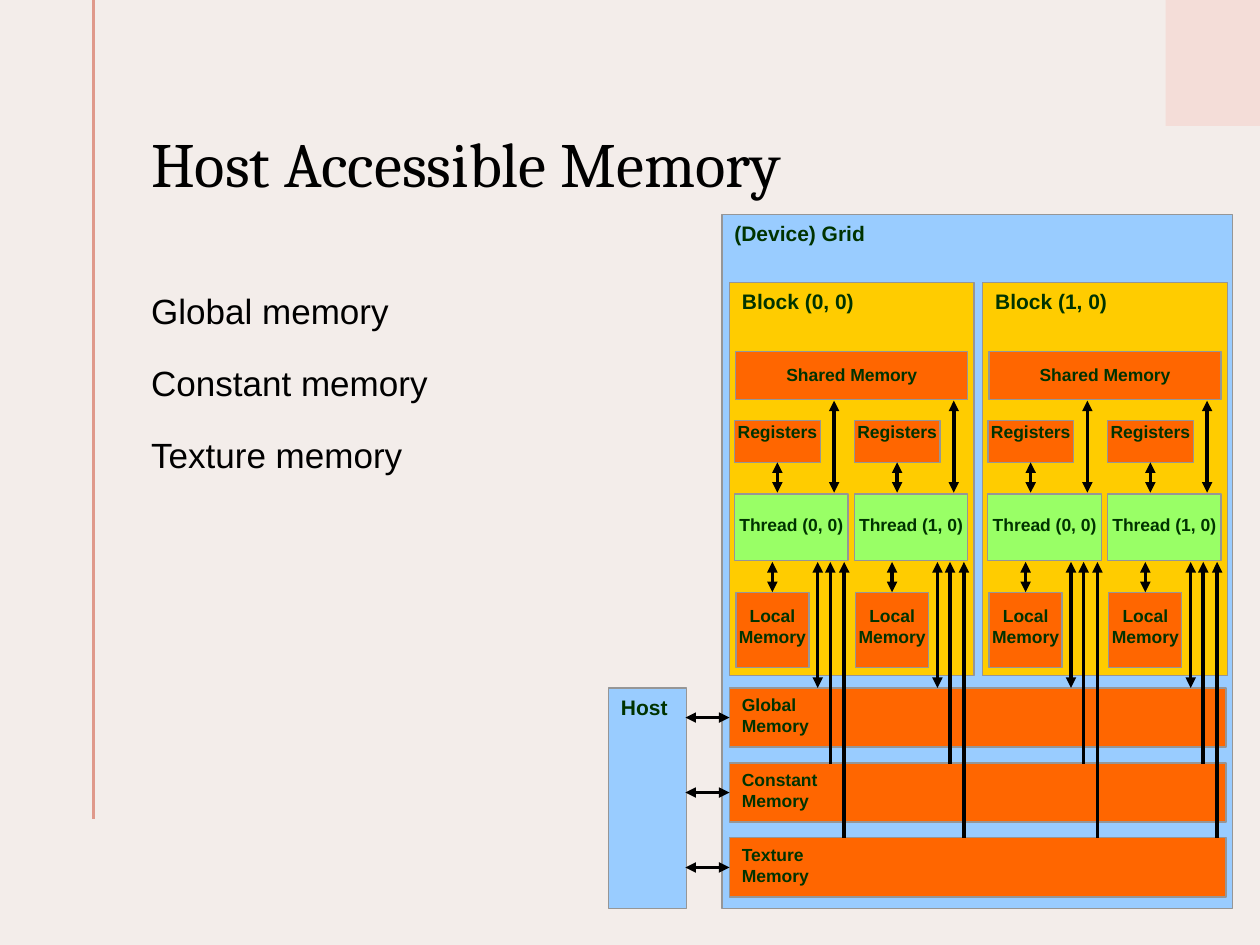
"""Build the slide on memory that the host can reach."""
from dataclasses import dataclass

from lxml.etree import SubElement
from pptx import Presentation
from pptx.dml.color import RGBColor
from pptx.enum.shapes import MSO_CONNECTOR, MSO_SHAPE
from pptx.enum.text import MSO_ANCHOR, PP_ALIGN
from pptx.oxml.ns import qn
from pptx.shapes.autoshape import Shape
from pptx.shapes.connector import Connector
from pptx.slide import Slide
from pptx.util import Inches, Pt


@dataclass(frozen=True)
class Theme:
    back: str = "F3EDEA"
    accent: str = "F4DDD8"
    rule: str = "DF998B"
    blue: str = "99CCFF"
    gold: str = "FFCC00"
    orange: str = "FF6600"
    green: str = "99FF66"
    edge: str = "969696"
    label: str = "003300"
    ink: str = "000000"
    sans: str = "Arial"
    serif: str = "Cambria"
    title: int = 36
    body: int = 20
    head: int = 12
    small: int = 10


@dataclass(frozen=True)
class Box:
    left: float
    top: float
    width: float
    height: float
    fill: str
    text: str
    size: int
    inset: float | None = None


@dataclass(frozen=True)
class Arrow:
    x: float
    y: float
    to_x: float
    to_y: float
    ends: tuple[str, ...] = ("headEnd", "tailEnd")


THEME = Theme()


def color(code: str) -> RGBColor:
    return RGBColor.from_string(code)


def draw_box(slide: Slide, box: Box) -> Shape:
    shape = slide.shapes.add_shape(
        MSO_SHAPE.RECTANGLE, Inches(box.left), Inches(box.top),
        Inches(box.width), Inches(box.height))
    shape.shadow.inherit = False
    shape.fill.solid()
    shape.fill.fore_color.rgb = color(box.fill)
    shape.line.color.rgb = color(THEME.edge)
    shape.line.width = Pt(0.75)
    frame = shape.text_frame
    frame.word_wrap = True
    frame.vertical_anchor = MSO_ANCHOR.TOP
    align = PP_ALIGN.LEFT
    if box.inset is not None:
        align = PP_ALIGN.CENTER
        frame.margin_left = frame.margin_right = frame.margin_bottom = 0
        frame.margin_top = Inches(box.inset)
    frame.text = box.text
    for para in frame.paragraphs:
        para.alignment = align
        para.font.name = THEME.sans
        para.font.size = Pt(box.size)
        para.font.bold = True
        para.font.color.rgb = color(THEME.label)
    return shape


def draw_line(slide: Slide, arrow: Arrow, tint: str = THEME.ink,
              width: float = 2) -> Connector:
    line = slide.shapes.add_connector(
        MSO_CONNECTOR.STRAIGHT, Inches(arrow.x), Inches(arrow.y),
        Inches(arrow.to_x), Inches(arrow.to_y))
    line.line.color.rgb = color(tint)
    line.line.width = Pt(width)
    props = line._element.spPr
    for end in arrow.ends:
        SubElement(props.find(qn("a:ln")), qn(f"a:{end}"), type="triangle")
    SubElement(props, qn("a:effectLst"))
    return line


def draw_text(slide: Slide, left: float, top: float, width: float,
              height: float, text: str, font: str, size: int) -> Shape:
    shape = slide.shapes.add_textbox(
        Inches(left), Inches(top), Inches(width), Inches(height))
    frame = shape.text_frame
    frame.word_wrap = True
    frame.margin_left = 0
    frame.text = text
    for para in frame.paragraphs:
        para.font.name = font
        para.font.size = Pt(size)
        para.font.color.rgb = color(THEME.ink)
    return shape


def draw_thread(slide: Slide, left: float, index: int) -> None:
    t = THEME
    local = draw_box(slide, Box(left + 0.01, 4.7, 0.58, 0.6, t.orange,
                                "Local\nMemory", t.small, 0.1))
    draw_box(slide, Box(left, 3.92, 0.9, 0.53, t.green,
                        f"Thread ({index}, 0)", t.small, 0.16))
    store = draw_box(slide, Box(left, 3.34, 0.68, 0.33, t.orange,
                                "Registers", t.small, 0))
    draw_line(slide, Arrow(left + 0.79, 3.91, left + 0.79, 3.18))
    link = draw_line(slide, Arrow(left + 0.34, 3.91, left + 0.34, 3.67))
    link.end_connect(store, 2)
    link = draw_line(slide, Arrow(left + 0.3, 4.7, left + 0.3, 4.46))
    link.begin_connect(local, 0)
    draw_line(slide, Arrow(left + 0.66, 4.46, left + 0.66, 5.46))
    for step, end in ((0.87, 6.65), (0.76, 6.06)):
        draw_line(slide, Arrow(left + step, 4.46, left + step, end,
                               ("headEnd",)))


def draw_block(slide: Slide, left: float, index: int) -> None:
    t = THEME
    draw_box(slide, Box(left, 2.24, 1.94, 3.12, t.gold,
                        f"Block ({index}, 0)", t.head))
    draw_box(slide, Box(left + 0.05, 2.79, 1.84, 0.38, t.orange,
                        "Shared Memory", t.small, 0.1))
    for thread in range(2):
        draw_thread(slide, left + 0.04 + 0.95 * thread, thread)


def main() -> None:
    t = THEME
    deck = Presentation()
    deck.slide_width, deck.slide_height = Inches(10), Inches(7.5)
    slide = deck.slides.add_slide(deck.slide_layouts[6])
    slide.background.fill.solid()
    slide.background.fill.fore_color.rgb = color(t.back)

    corner = draw_box(slide, Box(9.25, 0, 0.75, 1, t.accent, "", t.small))
    corner.line.fill.background()
    draw_line(slide, Arrow(0.74, 0, 0.74, 6.5, ()), t.rule, 1.5)

    draw_box(slide, Box(5.73, 1.7, 4.05, 5.51, t.blue, "(Device) Grid", t.head))
    draw_box(slide, Box(4.83, 5.46, 0.62, 1.75, t.blue, "Host", t.head))
    for row, name in enumerate(("Global", "Constant", "Texture")):
        top = 5.46 + 0.595 * row
        bar = draw_box(slide, Box(5.79, top, 3.94, 0.47, t.orange,
                                  f"{name}\nMemory", t.small))
        link = draw_line(slide, Arrow(5.44, top + 0.235, 5.79, top + 0.235))
        link.end_connect(bar, 1)
    for block in range(2):
        draw_block(slide, 5.79 + 2.01 * block, block)

    title = draw_text(slide, 1.2, 0.55, 8.05, 1.56,
                      "Host Accessible Memory", t.serif, t.title)
    title.text_frame.vertical_anchor = MSO_ANCHOR.MIDDLE
    title.text_frame.paragraphs[0].line_spacing = 0.9
    body = draw_text(slide, 1.2, 2.25, 3.8, 4.51,
                     "Global memory\nConstant memory\nTexture memory",
                     t.sans, t.body)
    for para in body.text_frame.paragraphs:
        para.space_before, para.space_after = Pt(5), Pt(12)
    deck.save("out.pptx")


if __name__ == "__main__":
    main()
